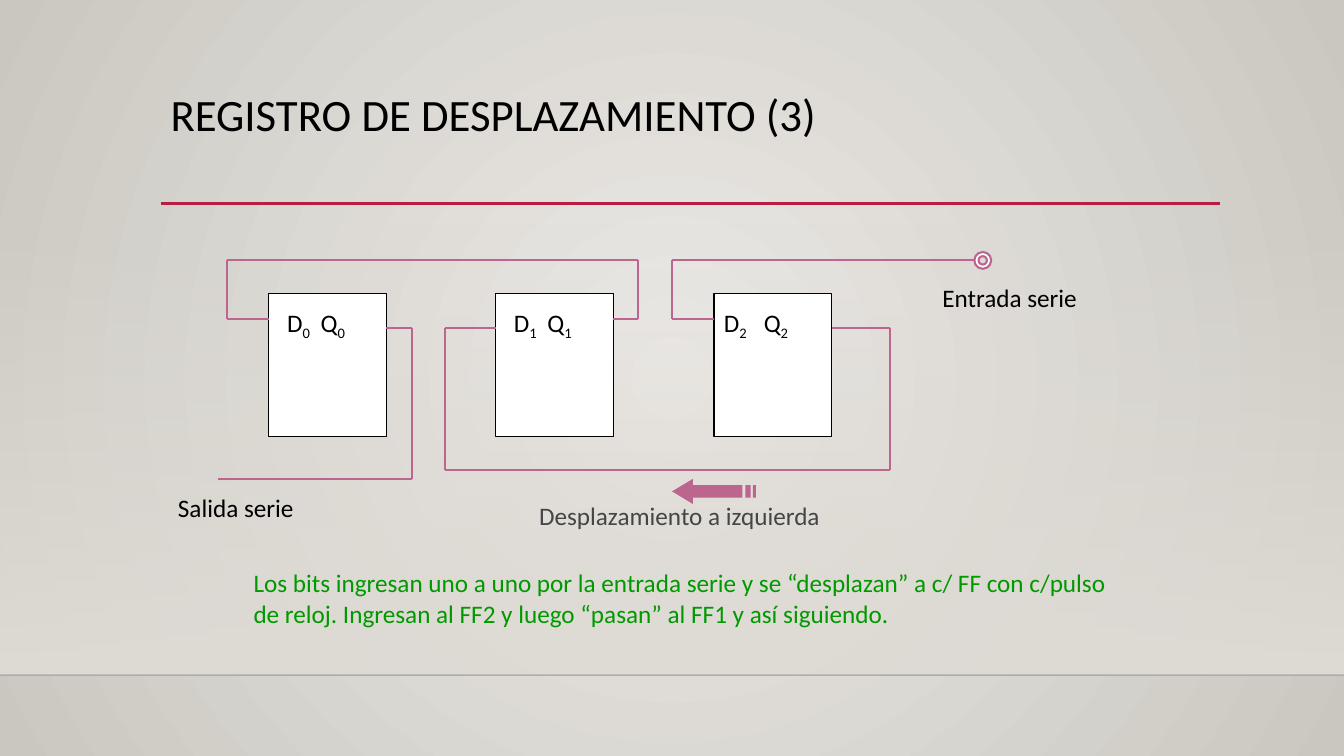
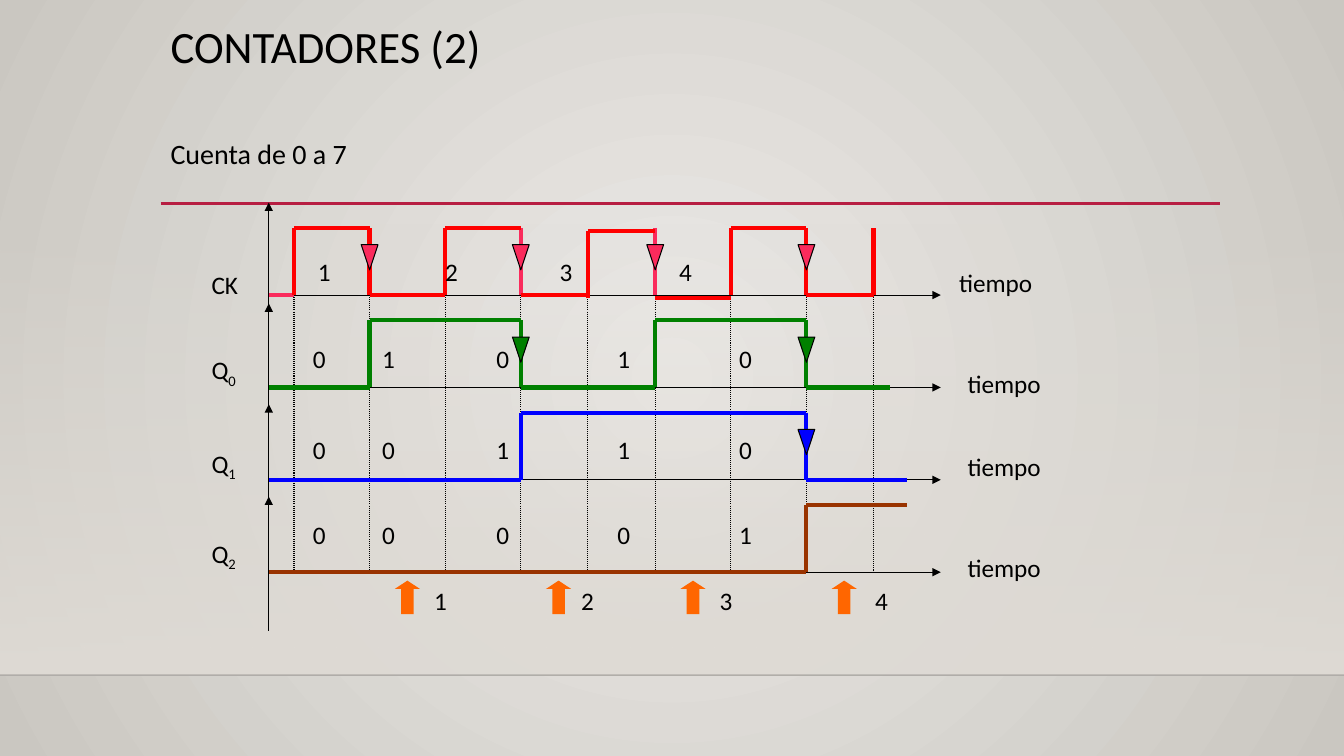
from dataclasses import dataclass
from itertools import pairwise

from lxml import etree
from pptx import Presentation
from pptx.dml.color import RGBColor
from pptx.enum.dml import MSO_LINE
from pptx.enum.shapes import MSO_CONNECTOR, MSO_SHAPE
from pptx.enum.text import MSO_ANCHOR, PP_ALIGN
from pptx.oxml.ns import qn
from pptx.util import Emu, Pt

PX = 9525  # EMU in one px (96 px to the inch)
WIDTH, HEIGHT = 1280, 720

STRAIGHT = MSO_CONNECTOR.STRAIGHT
RECT = MSO_SHAPE.RECTANGLE
DONUT = MSO_SHAPE.DONUT
TRIANGLE = MSO_SHAPE.ISOSCELES_TRIANGLE
UP_ARROW = MSO_SHAPE.UP_ARROW
DOTTED = MSO_LINE.ROUND_DOT
TOP = MSO_ANCHOR.TOP
LEFT, CENTER = PP_ALIGN.LEFT, PP_ALIGN.CENTER


@dataclass(frozen=True)
class Theme:
    font: str = "Calibri"
    title_size: int = 32
    body_size: int = 20
    label_size: int = 18
    ink: str = "000000"
    muted: str = "454545"
    white: str = "FFFFFF"
    bg_centre: str = "ECEAE7"
    bg_edge: str = "CAC7C1"
    band: str = "DFDBD5"
    rule: str = "B71E42"
    floor: str = "000001"
    wire: str = "BC658E"
    note: str = "009900"
    clock: str = "FF0000"
    clock_fall: str = "FA2B5C"
    q0: str = "008000"
    q1: str = "0000FF"
    q2: str = "993300"
    count: str = "FF6600"


T = Theme()


def px(n):
    return Emu(n * PX)


def rgb(colour):
    return RGBColor.from_string(colour)


# Elements
def set_alpha(colour_element, percent):
    etree.SubElement(colour_element, qn("a:alpha"), val=str(percent * 1000))


def fill_gradient(fill, first, last):
    fill.gradient()
    for stop, colour in zip(fill.gradient_stops, (first, last)):
        stop.color.rgb = rgb(colour)


def set_paint(sp, fill, line=None, weight=0.75):
    sp.shadow.inherit = False
    sp.fill.solid()
    sp.fill.fore_color.rgb = rgb(fill)
    if line:
        sp.line.color.rgb = rgb(line)
        sp.line.width = Pt(weight)
    else:
        sp.line.fill.background()


def add_shape(slide, kind, x, y, w, h, fill, line=None, weight=0.75):
    sp = slide.shapes.add_shape(kind, px(x), px(y), px(w), px(h))
    set_paint(sp, fill, line, weight)
    return sp


def add_line(slide, start, end, colour=T.ink, weight=0.75, dash=None,
             head=False, tail=False):
    cx = slide.shapes.add_connector(STRAIGHT, *map(px, start + end))
    cx.line.color.rgb = rgb(colour)
    cx.line.width = Pt(weight)
    if dash:
        cx.line.dash_style = dash
    ln = cx.line._get_or_add_ln()
    for tag, wanted in (("a:headEnd", head), ("a:tailEnd", tail)):
        if wanted:
            etree.SubElement(ln, qn(tag), type="triangle")
    etree.SubElement(cx._element.spPr, qn("a:effectLst"))
    return cx


def add_polyline(slide, points, colour, weight):
    for start, end in pairwise(points):
        add_line(slide, start, end, colour, weight)


def add_text(slide, text, x, y, w, h=38, sub="", size=T.label_size,
             colour=T.ink, align=LEFT, spacing=None):
    box = slide.shapes.add_textbox(px(x), px(y), px(w), px(h))
    tf = box.text_frame
    tf.word_wrap = True
    tf.vertical_anchor = TOP
    p = tf.paragraphs[0]
    p.alignment = align
    if spacing:
        p.line_spacing = spacing
    for part in filter(None, (text, sub)):
        r = p.add_run()
        r.text = part
        r.font.name = T.font
        r.font.size = Pt(size)
        r.font.color.rgb = rgb(colour)
    if sub:
        r._r.get_or_add_rPr().set("baseline", "-25000")
    return box


# Shared look
def set_background(master):
    fill_gradient(master.background.fill, T.bg_centre, T.bg_edge)
    grad = master.element.find(".//" + qn("p:bgPr")).find(qn("a:gradFill"))
    grad.remove(grad.find(qn("a:lin")))
    circle = etree.SubElement(grad, qn("a:path"), path="circle")
    sides = dict.fromkeys("ltrb", "50000")
    etree.SubElement(circle, qn("a:fillToRect"), **sides)


def add_slide(prs, title, title_top):
    slide = prs.slides.add_slide(prs.slide_layouts[6])
    band = add_shape(slide, RECT, 0, 212, WIDTH, 431, T.band)
    fill_gradient(band.fill, T.band, T.band)
    band.fill.gradient_angle = 270
    set_alpha(band._element.spPr.find(".//" + qn("a:srgbClr")), 0)
    floor = add_line(slide, (0, 643), (WIDTH, 643), T.floor, 1)
    set_alpha(floor._element.spPr.find(".//" + qn("a:srgbClr")), 20)
    add_line(slide, (153, 194), (1162, 194), T.rule, 2.5)
    add_text(slide, title, 153, title_top, 1008, 110,
             size=T.title_size, spacing=0.9)
    return slide


# Slide 1: shift register
def add_shift_arrow(slide, x, y):
    contours = [
        [(0, 12), (20, 0), (20, 6), (67, 6), (67, 18), (20, 18), (20, 24)],
        [(70, 6), (75, 6), (75, 18), (70, 18)],
        [(77, 6), (80, 6), (80, 18), (77, 18)],
    ]
    builder = None
    for contour in contours:
        first, *rest = [(x + dx, y + dy) for dx, dy in contour]
        if builder is None:
            builder = slide.shapes.build_freeform(*first, scale=PX)
        else:
            builder.move_to(*first)
        builder.add_line_segments(rest, close=True)
    set_paint(builder.convert_to_shape(), T.wire)


def build_register(prs):
    slide = add_slide(prs, "REGISTRO DE DESPLAZAMIENTO (3)", 84)

    # Flip-flops: box left, D left, Q left
    flip_flops = [(256, 264, 296), (472, 480, 512), (680, 680, 718)]
    for i, (left, d_left, q_left) in enumerate(flip_flops):
        add_shape(slide, RECT, left, 280, 112, 136, T.white, T.ink)
        add_text(slide, "D", d_left, 288, 56, sub=str(i))
        add_text(slide, "Q", q_left, 288, 56, sub=str(i))

    # Wires, from the serial input to the serial output
    wires = [
        [(928, 248), (640, 248), (640, 304), (680, 304)],
        [(792, 312), (848, 312), (848, 448), (424, 448), (424, 312),
         (472, 312)],
        [(584, 304), (608, 304), (608, 248), (216, 248), (216, 304),
         (256, 304)],
        [(368, 312), (392, 312), (392, 456), (208, 456)],
    ]
    for points in wires:
        add_polyline(slide, points, T.wire, 1.5)
    add_shape(slide, DONUT, 928, 240, 16, 16, T.white, T.wire, 1.5)
    add_shift_arrow(slide, 640, 456)

    # Labels
    add_text(slide, "Entrada serie", 888, 264, 216)
    add_text(slide, "Salida serie", 160, 464, 208)
    add_text(slide, "Desplazamiento a izquierda", 504, 472, 432,
             colour=T.muted)
    add_text(slide, "Los bits ingresan uno a uno por la entrada serie y se "
             "“desplazan” a c/ FF con c/pulso de reloj. Ingresan al FF2 y "
             "luego “pasan” al FF1 y así siguiendo.", 232, 536, 832, 68,
             colour=T.note)


# Slide 2: timing diagram
AXIS_X, AXIS_END = 256, 896
FIRST_BASE, ROW_GAP, PULSE = 281, 88, 64
TICKS = [280, 352, 424, 496, 560, 624, 696, 768, 832]
CLOCK_DIGITS_X = [309, 430, 539, 653]
STATE_DIGITS_X = [304, 370, 479, 594, 710]


@dataclass(frozen=True)
class Signal:
    name: str
    sub: str
    label_top: int
    time_at: tuple
    digits: str
    digits_x: list
    digits_top: int
    edges: list
    end: int
    colour: str
    fall_colour: str
    axis_top: int


SIGNALS = [
    Signal("CK", "", 252, (904, 250), "1234", CLOCK_DIGITS_X, 239,
           TICKS, 832, T.clock, T.clock_fall, 193),
    Signal("Q", "0", 333, (912, 346), "01010", STATE_DIGITS_X, 322,
           [352, 496, 624, 768], 848, T.q0, T.q0, 289),
    Signal("Q", "1", 422, (912, 425), "00110", STATE_DIGITS_X, 409,
           [496, 768], 864, T.q1, T.q1, 385),
    Signal("Q", "2", 508, (912, 521), "00001", STATE_DIGITS_X, 490,
           [768], 864, T.q2, T.q2, 473),
]


def add_clock(slide, low):
    high, drop = low - PULSE, 3
    red = [
        [(280, low), (280, high), (352, high), (352, low), (424, low),
         (424, high), (496, high)],
        [(496, low), (560, low)],
        [(560, low + drop), (560, high + drop), (624, high + drop)],
        [(624, low + drop), (696, low + drop)],
        [(696, low), (696, high), (768, high), (768, low), (832, low),
         (832, high)],
    ]
    pink = [[(AXIS_X, low), (280, low)]]
    pink += [[(x, high), (x, low)] for x in (496, 624)]
    for colour, lines in ((T.clock_fall, pink), (T.clock, red)):
        for points in lines:
            add_polyline(slide, points, colour, 3)


def add_wave(slide, signal, low):
    levels = [low, low - PULSE]
    points = [(AXIS_X, low)]
    for i, x in enumerate(signal.edges):
        points += [(x, levels[i % 2]), (x, levels[1 - i % 2])]
    points.append((signal.end, points[-1][1]))
    add_polyline(slide, points, signal.colour, 3)


def add_signal(slide, signal, low):
    if signal.name == "CK":
        add_clock(slide, low)
    else:
        add_wave(slide, signal, low)
    for x in signal.edges[1::2]:
        sp = add_shape(slide, TRIANGLE, x - 8, low - 48, 16, 24,
                       signal.fall_colour, T.ink)
        sp.rotation = 180
    add_text(slide, signal.name, 192, signal.label_top, 64, sub=signal.sub)
    add_text(slide, "tiempo", *signal.time_at, 128)
    for digit, x in zip(signal.digits, signal.digits_x):
        add_text(slide, digit, x - 20, signal.digits_top, 40, align=CENTER)


def build_counter(prs):
    slide = add_slide(prs, "CONTADORES (2)", 19)
    add_text(slide, "Cuenta de 0 a 7", 153, 125, 1008, 42, size=T.body_size)
    bases = [FIRST_BASE + i * ROW_GAP for i in range(len(SIGNALS))]

    # Axes and tick guides
    for signal, low in zip(SIGNALS, bases):
        bottom = 601 if signal.name == "CK" else signal.axis_top + 56
        add_line(slide, (AXIS_X, signal.axis_top), (AXIS_X, bottom),
                 head=True)
        add_line(slide, (AXIS_X, low), (AXIS_END, low), tail=True)
    for x in TICKS:
        add_line(slide, (x, bases[0]), (x, bases[-1]), dash=DOTTED)

    # Signals
    for signal, low in zip(SIGNALS, bases):
        add_signal(slide, signal, low)

    # Count marks: arrow left, number left
    marks = [(376, 404), (520, 544), (648, 676), (792, 824)]
    for number, (arrow_x, number_x) in enumerate(marks, 1):
        sp = add_shape(slide, UP_ARROW, arrow_x, 553, 24, 32, T.count)
        sp.adjustments[1] = 0.33
        add_text(slide, str(number), number_x, 553, 40)


def main():
    prs = Presentation()
    prs.slide_width, prs.slide_height = px(WIDTH), px(HEIGHT)
    set_background(prs.slide_master)
    build_register(prs)
    build_counter(prs)
    prs.save("out.pptx")


if __name__ == "__main__":
    main()
